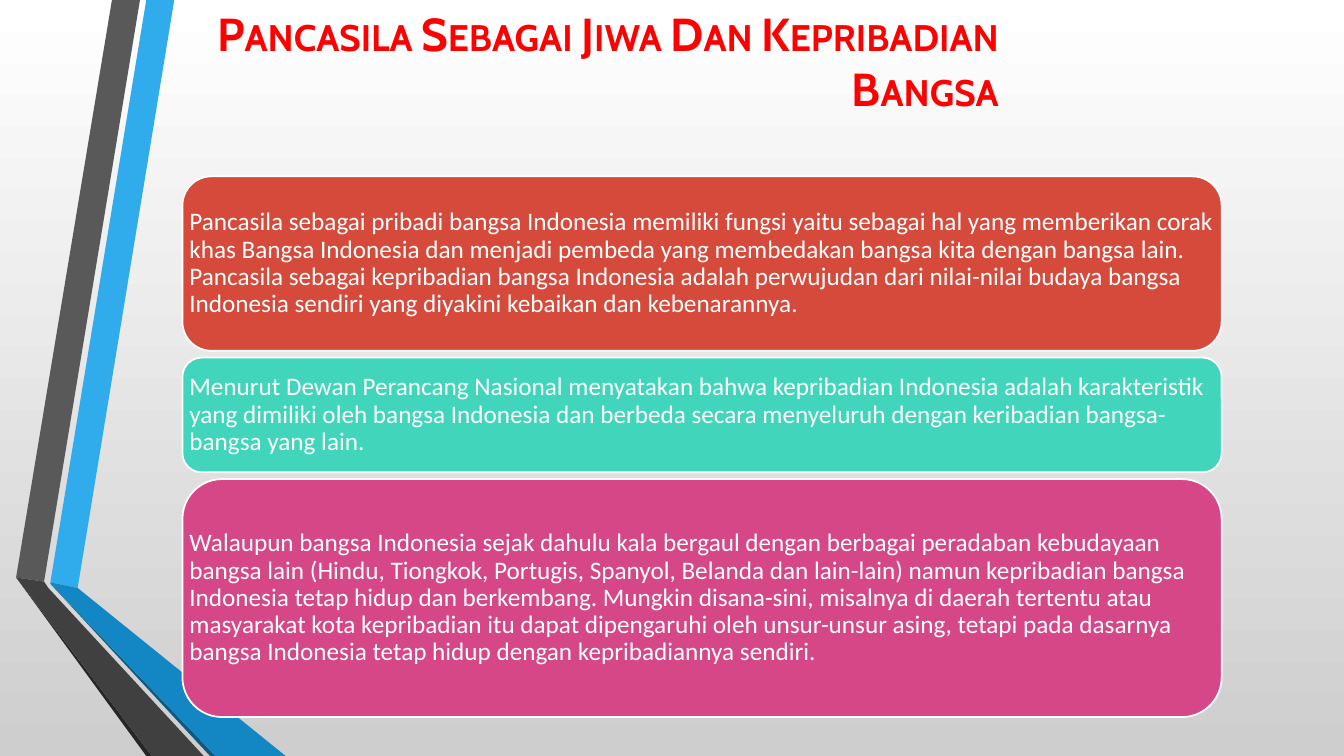
from pptx import Presentation
from pptx.dml.color import RGBColor
from pptx.enum.shapes import MSO_SHAPE
from pptx.enum.text import MSO_ANCHOR, PP_ALIGN
from pptx.util import Pt

WHITE = RGBColor(0xFF, 0xFF, 0xFF)
SILVER = RGBColor(0xCE, 0xCE, 0xCE)
RED = RGBColor(0xFF, 0x00, 0x00)
BRICK = RGBColor(0xD6, 0x4A, 0x3B)
TURQUOISE = RGBColor(0x41, 0xD6, 0xBC)
PINK = RGBColor(0xD6, 0x47, 0x87)
SKY = RGBColor(0x30, 0xAC, 0xEC)
BLUE = RGBColor(0x12, 0x87, 0xC3)
NAVY = RGBColor(0x0C, 0x5A, 0x82)
GREY = RGBColor(0x59, 0x59, 0x59)
CHARCOAL = RGBColor(0x40, 0x40, 0x40)
BLACK = RGBColor(0x26, 0x26, 0x26)

TITLE_FONT = {"name": "Cabin", "size": Pt(33), "bold": True}
BODY_FONT = {"name": "Calibri", "size": Pt(18)}


def add_text(text, left, top, width, height, color, font_format):
    box = slide.shapes.add_textbox(Pt(left), Pt(top), Pt(width), Pt(height))
    box.text_frame.word_wrap = True
    paragraph = box.text_frame.paragraphs[0]
    run = paragraph.add_run()
    run.text = text
    run.font.color.rgb = color
    for key, value in font_format.items():
        setattr(run.font, key, value)
    return box.text_frame, paragraph, run


deck = Presentation()
deck.slide_width, deck.slide_height = Pt(960), Pt(540)
slide = deck.slides.add_slide(deck.slide_layouts[6])

# Background gradient, light at the top
background = slide.background.fill
background.gradient()
background.gradient_angle = 270
for stop, color in zip(background.gradient_stops, (WHITE, SILVER)):
    stop.color.rgb = color

# Folded ribbons on the left
ribbons = [
    (SKY, [(36, 416), (55.5, 420), (124.5, 0), (104.5, 0)]),
    (GREY, [(100, 0), (80, 0), (11.5, 412.5), (31.5, 415.5)]),
    (BLACK, [(11.5, 412.5), (104.5, 540), (108.5, 540)]),
    (NAVY, [(36, 417), (150, 540), (154, 540)]),
    (BLUE, [(36, 416), (36, 417), (154, 540), (204, 540), (55.5, 420)]),
    (CHARCOAL, [(145.5, 540), (34.5, 420), (31.5, 415.5), (11.5, 412.5), (108.5, 540)]),
]
for color, corners in ribbons:
    points = [(Pt(x), Pt(y)) for x, y in corners]
    builder = slide.shapes.build_freeform(*points[0])
    builder.add_line_segments(points[1:], close=True)
    ribbon = builder.convert_to_shape()
    ribbon.shadow.inherit = False
    ribbon.fill.solid()
    ribbon.fill.fore_color.rgb = color
    ribbon.line.fill.background()

# Title in small capitals
_, title, title_run = add_text(
    "Pancasila Sebagai Jiwa Dan Kepribadian Bangsa", 147.6, 0, 573, 87, RED, TITLE_FONT)
title.alignment = PP_ALIGN.RIGHT
title_run._r.get_or_add_rPr().set("cap", "small")

# Stacked statements
LEFT, WIDTH, GAP = 130.3, 742.3, 4.8
statements = [
    (BRICK, 124.6,
     "Pancasila sebagai pribadi bangsa Indonesia memiliki fungsi yaitu sebagai hal yang "
     "memberikan corak khas Bangsa Indonesia dan menjadi pembeda yang membedakan bangsa kita "
     "dengan bangsa lain. Pancasila sebagai kepribadian bangsa Indonesia adalah perwujudan dari "
     "nilai-nilai budaya bangsa Indonesia sendiri yang diyakini kebaikan dan kebenarannya."),
    (TURQUOISE, 82,
     "Menurut Dewan Perancang Nasional menyatakan bahwa kepribadian Indonesia adalah "
     "karakteristik yang dimiliki oleh bangsa Indonesia dan berbeda secara menyeluruh dengan "
     "keribadian bangsa-bangsa yang lain."),
    (PINK, 170,
     "Walaupun bangsa Indonesia sejak dahulu kala bergaul dengan berbagai peradaban kebudayaan "
     "bangsa lain (Hindu, Tiongkok, Portugis, Spanyol, Belanda dan lain-lain) namun kepribadian "
     "bangsa Indonesia tetap hidup dan berkembang. Mungkin disana-sini, misalnya di daerah "
     "tertentu atau masyarakat kota kepribadian itu dapat dipengaruhi oleh unsur-unsur asing, "
     "tetapi pada dasarnya bangsa Indonesia tetap hidup dengan kepribadiannya sendiri."),
]
frame_format = {"vertical_anchor": MSO_ANCHOR.MIDDLE, "margin_left": Pt(5),
                "margin_right": Pt(5), "margin_top": Pt(5), "margin_bottom": Pt(5)}
top = 126
for color, height, text in statements:
    panel = slide.shapes.add_shape(
        MSO_SHAPE.ROUNDED_RECTANGLE, Pt(LEFT), Pt(top), Pt(WIDTH), Pt(height))
    panel.shadow.inherit = False
    panel.fill.solid()
    panel.fill.fore_color.rgb = color
    panel.line.color.rgb = WHITE
    panel.line.width = Pt(1.25)

    # Separate text keeps its margin clear of the rounded corners
    frame, statement, _ = add_text(text, LEFT, top, WIDTH, height, WHITE, BODY_FONT)
    for key, value in frame_format.items():
        setattr(frame, key, value)
    statement.line_spacing = 0.9
    top += height + GAP

deck.save("out.pptx")
